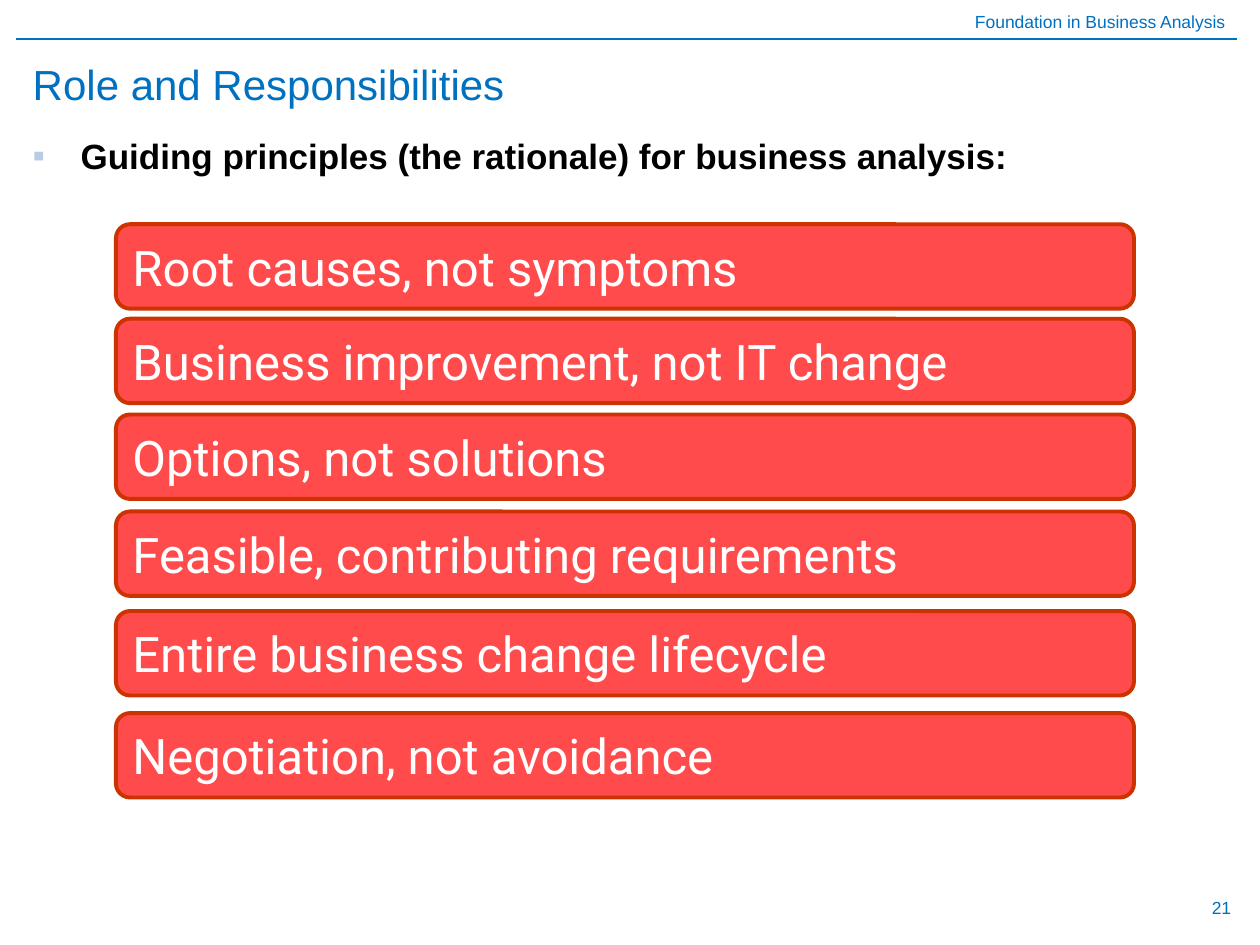
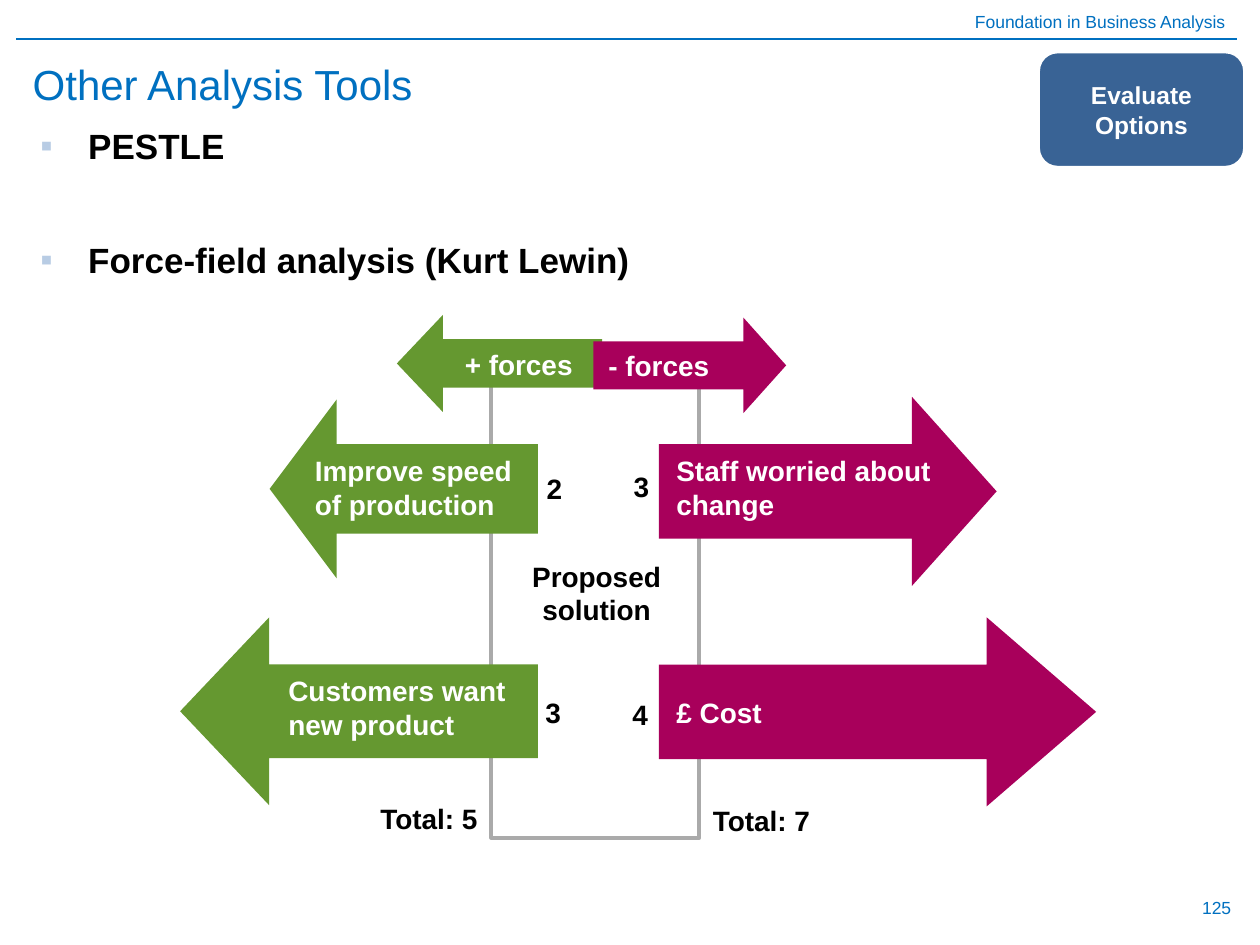
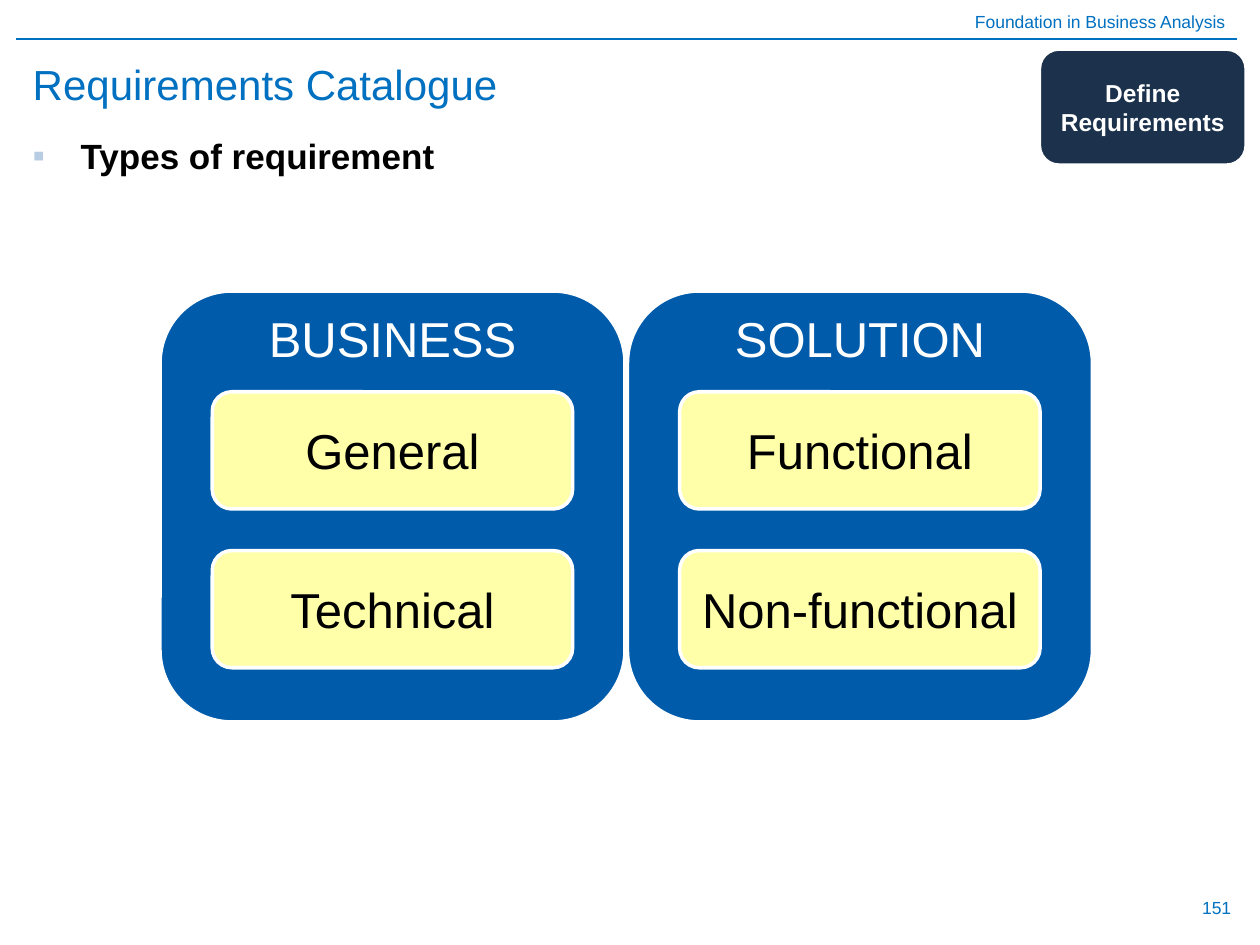
"""Build three business analysis slides: guiding principles, force-field analysis and requirement types."""
from dataclasses import dataclass

from pptx import Presentation
from pptx.dml.color import RGBColor
from pptx.enum.shapes import MSO_CONNECTOR, MSO_SHAPE
from pptx.enum.text import MSO_ANCHOR, MSO_AUTO_SIZE, PP_ALIGN
from pptx.oxml.xmlchemy import OxmlElement
from pptx.util import Inches, Pt

LEFT, CENTER, RIGHT = PP_ALIGN.LEFT, PP_ALIGN.CENTER, PP_ALIGN.RIGHT
TOP, MIDDLE = MSO_ANCHOR.TOP, MSO_ANCHOR.MIDDLE
ROUNDED, RECTANGLE = MSO_SHAPE.ROUNDED_RECTANGLE, MSO_SHAPE.RECTANGLE
LEFT_ARROW, RIGHT_ARROW = MSO_SHAPE.LEFT_ARROW, MSO_SHAPE.RIGHT_ARROW
STRAIGHT = MSO_CONNECTOR.STRAIGHT
NO_AUTOFIT = MSO_AUTO_SIZE.NONE


@dataclass(frozen=True)
class Theme:
    font: str = "Arial"
    principle_font: str = "Roboto"
    accent: str = "0070C0"
    ink: str = "000000"
    paper: str = "FFFFFF"
    bullet: str = "B8CCE4"
    principle: str = "FF4B4B"
    principle_edge: str = "CC3300"
    driving: str = "659830"
    resisting: str = "A8005B"
    frame: str = "AAAAAA"
    evaluate: str = "396395"
    define: str = "1C314B"
    panel: str = "005BAA"
    card: str = "FFFFAA"
    small: int = 10
    badge: int = 14
    label: int = 16
    body: int = 20
    title: int = 24
    large: int = 28


theme = Theme()
deck = Presentation()
deck.slide_width, deck.slide_height = Inches(10), Inches(7.5)
COLUMN, ROW = deck.slide_width / 100, deck.slide_height / 75


def write(frame, text, size=theme.label, color=theme.ink, font=theme.font, bold=False,
          align=LEFT, anchor=TOP, bullet=None, gap=0):
    """Fill a text frame, one paragraph per line of text."""
    frame.word_wrap, frame.auto_size, frame.vertical_anchor = True, NO_AUTOFIT, anchor
    frame.text = text
    for index, paragraph in enumerate(frame.paragraphs):
        paragraph.alignment = align
        paragraph.space_before = Pt(gap if index else 0)
        if bullet:
            properties = paragraph._p.get_or_add_pPr()
            properties.set("marL", str(Inches(0.38)))
            properties.set("indent", str(-Inches(0.38)))
            bullet_color, rgb, mark = map(OxmlElement, ("a:buClr", "a:srgbClr", "a:buChar"))
            rgb.set("val", bullet)
            mark.set("char", "▪")
            bullet_color.append(rgb)
            properties.extend([bullet_color, mark])
        for run in paragraph.runs:
            run.font.name, run.font.size, run.font.bold = font, Pt(size), bold
            run.font.color.rgb = RGBColor.from_string(color)


def add(slide, cells, text="", preset=None, fill=None, edge=None, weight=2, head=None, **style):
    """Add a preset shape, or a text box without one, at left, top, width, height in grid cells."""
    bounds = [round(cell * unit) for cell, unit in zip(cells, (COLUMN, ROW) * 2)]
    if preset is None:
        item = slide.shapes.add_textbox(*bounds)
    else:
        item = slide.shapes.add_shape(preset, *bounds)
        item.shadow.inherit = False
        if fill:
            item.fill.solid()
            item.fill.fore_color.rgb = RGBColor.from_string(fill)
        else:
            item.fill.background()
        if edge:
            item.line.color.rgb = RGBColor.from_string(edge)
            item.line.width = Pt(weight)
        else:
            item.line.fill.background()
        if head:
            item.adjustments[1] = head
    if text:
        write(item.text_frame, text, **style)


pages = [
    ("Role and Responsibilities", "Guiding principles (the rationale) for business analysis:",
     (1.6, 10.2, 96.1, 5), 0, "21"),
    ("Other Analysis Tools", "PESTLE\nForce-field analysis (Kurt Lewin)",
     (2.2, 9.4, 94.8, 63.4), 41, "125"),
    ("Requirements Catalogue", "Types of requirement", (1.6, 10.2, 96.1, 60.2), 0, "151"),
]
slides = []
for heading, points, body_cells, point_gap, number in pages:
    slide = deck.slides.add_slide(deck.slide_layouts[1])
    slides.append(slide)
    title, body = slide.placeholders
    for holder, cells in ((title, (1.6, 3.9, 96.1, 5.5)), (body, body_cells)):
        holder.left, holder.top, holder.width, holder.height = [
            round(cell * unit) for cell, unit in zip(cells, (COLUMN, ROW) * 2)]
    write(title.text_frame, heading, size=theme.title, color=theme.accent, anchor=MIDDLE)
    write(body.text_frame, points, size=theme.body, bold=True, bullet=theme.bullet, gap=point_gap)
    add(slide, (0, 0.4, 98.2, 2.7), "Foundation in Business Analysis",
        size=theme.small, color=theme.accent, align=RIGHT)
    add(slide, (75.4, 70, 23.3, 4), number,
        size=theme.small, color=theme.accent, align=RIGHT, anchor=MIDDLE)
    rule = slide.shapes.add_connector(
        STRAIGHT, round(1.3 * COLUMN), round(3.1 * ROW), round(98.2 * COLUMN), round(3.1 * ROW))
    rule.line.color.rgb = RGBColor.from_string(theme.accent)
    rule.line.width = Pt(0.75)
    rule._element.spPr.append(OxmlElement("a:effectLst"))

principles_slide, forces_slide, catalogue_slide = slides

principles = [
    (17.8, "Root causes, not symptoms"),
    (25.3, "Business improvement, not IT change"),
    (32.9, "Options, not solutions"),
    (40.6, "Feasible, contributing requirements"),
    (48.5, "Entire business change lifecycle"),
    (56.6, "Negotiation, not avoidance"),
]
for top, principle in principles:
    add(principles_slide, (9.2, top, 80.8, 6.7), principle, ROUNDED, theme.principle,
        theme.principle_edge, 2.25, size=theme.large, color=theme.paper,
        font=theme.principle_font, anchor=MIDDLE)

add(forces_slide, (39, 29.5, 16.5, 37), preset=RECTANGLE, edge=theme.frame, weight=2.25)
forces = [
    (LEFT_ARROW, (14.3, 49, 28.4, 14.9), 0.474, "Customers want new product", (21.9, 53, 20.1, 6.4)),
    (LEFT_ARROW, (21.4, 31.7, 21.3, 14.2), 0.375, "Improve speed of production", (24, 35.5, 17.9, 6.4)),
    (RIGHT_ARROW, (52.3, 31.5, 26.8, 15), 0.448, "Staff worried about change", (52.7, 35.5, 23.6, 6.4)),
    (RIGHT_ARROW, (52.3, 49, 34.7, 15), 0.579, "£ Cost", (52.7, 54.7, 19.7, 3.7)),
    (LEFT_ARROW, (31.5, 25, 16.3, 7.7), 0.474, "+ forces", (35.9, 27.1, 11.5, 3.7)),
    (RIGHT_ARROW, (47.1, 25.2, 15.3, 7.6), 0.448, "- forces", (47.3, 27.2, 13.5, 3.7)),
]
for direction, arrow_cells, head, force, label_cells in forces:
    side_color = theme.driving if direction == LEFT_ARROW else theme.resisting
    add(forces_slide, arrow_cells, preset=direction, fill=side_color, head=head)
    add(forces_slide, label_cells, force, color=theme.paper, bold=True)

scores = [
    ((38.5, 36.9, 7.1, 3.7), "2", RIGHT),
    ((38.4, 54.7, 7.1, 3.7), "3", RIGHT),
    ((49.3, 36.8, 7.1, 3.7), "3", LEFT),
    ((49.2, 54.9, 7.1, 3.7), "4", LEFT),
    ((29.2, 63.1, 16.5, 3.7), "Total: 5", LEFT),
    ((55.6, 63.3, 16.5, 3.7), "Total: 7", LEFT),
    ((38.7, 43.9, 17.3, 6.4), "Proposed solution", CENTER),
]
for cells, score, align in scores:
    add(forces_slide, cells, score, bold=True, align=align)

stages = [
    (forces_slide, (82.4, 4.1, 16.4, 9.2), "Evaluate Options", theme.evaluate),
    (catalogue_slide, (82.5, 3.9, 16.4, 9.2), "Define Requirements", theme.define),
]
for slide, cells, stage, stage_color in stages:
    add(slide, cells, stage, ROUNDED, stage_color, theme.paper, size=theme.badge,
        color=theme.paper, bold=True, align=CENTER, anchor=MIDDLE)

families = [("BUSINESS", ("General", "Technical")), ("SOLUTION", ("Functional", "Non-functional"))]
for column, (family, requirements) in enumerate(families):
    left = 12.7 + 37.1 * column
    add(catalogue_slide, (left, 23.1, 36.9, 34.2), preset=ROUNDED, fill=theme.panel, edge=theme.paper)
    add(catalogue_slide, (left, 22.2, 36.9, 9.3), family,
        size=theme.large, color=theme.paper, align=CENTER, anchor=MIDDLE)
    for row, requirement in enumerate(requirements):
        add(catalogue_slide, (left + 4.15, 31.1 + 12.6 * row, 28.6, 9.3), requirement, ROUNDED,
            theme.card, theme.paper, size=theme.large, align=CENTER, anchor=MIDDLE)

deck.save("out.pptx")
